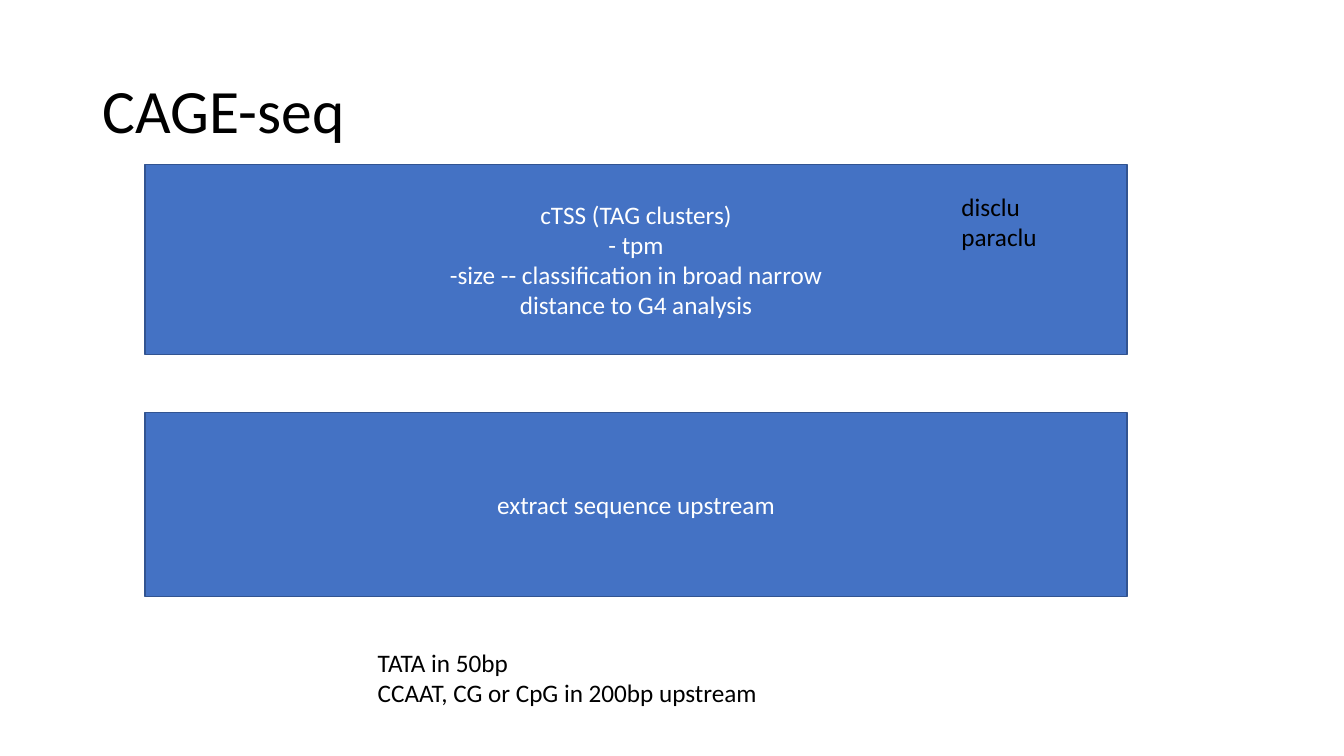
"""Build the CAGE-seq workflow slide."""
from dataclasses import dataclass

from pptx import Presentation
from pptx.dml.color import RGBColor
from pptx.enum.shapes import MSO_SHAPE
from pptx.enum.text import MSO_ANCHOR, MSO_AUTO_SIZE, PP_ALIGN
from pptx.util import Cm, Pt

RECTANGLE = MSO_SHAPE.RECTANGLE
MIDDLE = MSO_ANCHOR.MIDDLE
FIT_SHAPE = MSO_AUTO_SIZE.SHAPE_TO_FIT_TEXT
LEFT, CENTER = PP_ALIGN.LEFT, PP_ALIGN.CENTER


@dataclass(frozen=True)
class Theme:
    """Colours, font and sizes used on the slide."""

    font: str = "Calibri"
    title_size: Pt = Pt(44)
    body_size: Pt = Pt(18)
    line_width: Pt = Pt(1)
    dark: RGBColor = RGBColor(0x00, 0x00, 0x00)
    light: RGBColor = RGBColor(0xFF, 0xFF, 0xFF)
    fill: RGBColor = RGBColor(0x44, 0x72, 0xC4)
    outline: RGBColor = RGBColor(0x32, 0x54, 0x91)


THEME = Theme()
STEP_LEFT, STEP_WIDTH = Cm(3.66), Cm(24.74)


def write_lines(text_frame, lines, size, color, alignment=LEFT):
    """Write each line as a paragraph with one styled run."""
    for index, line in enumerate(lines):
        paragraph = text_frame.add_paragraph() if index else text_frame.paragraphs[0]
        paragraph.alignment = alignment
        run = paragraph.add_run()
        run.text = line
        run.font.name = THEME.font
        run.font.size = size
        run.font.color.rgb = color


def add_title(slide, text):
    """Add the slide title."""
    shape = slide.shapes.add_textbox(Cm(2.34), Cm(1.02), Cm(29.21), Cm(3.68))
    text_frame = shape.text_frame
    text_frame.word_wrap = True
    text_frame.vertical_anchor = MIDDLE
    write_lines(text_frame, [text], THEME.title_size, THEME.dark)
    text_frame.paragraphs[0].line_spacing = 0.9


def add_step(slide, top, height, lines):
    """Add a full-width workflow step with centred text."""
    shape = slide.shapes.add_shape(RECTANGLE, STEP_LEFT, top, STEP_WIDTH, height)
    shape.shadow.inherit = False
    shape.fill.solid()
    shape.fill.fore_color.rgb = THEME.fill
    shape.line.color.rgb = THEME.outline
    shape.line.width = THEME.line_width
    shape.text_frame.word_wrap = True
    shape.text_frame.vertical_anchor = MIDDLE
    write_lines(shape.text_frame, lines, THEME.body_size, THEME.light, CENTER)


def add_note(slide, left, top, width, lines):
    """Add an unwrapped two-line note."""
    shape = slide.shapes.add_textbox(left, top, width, Cm(1.8))
    shape.text_frame.word_wrap = False
    shape.text_frame.auto_size = FIT_SHAPE
    write_lines(shape.text_frame, lines, THEME.body_size, THEME.dark)


def main():
    """Assemble and save the presentation."""
    presentation = Presentation()
    presentation.slide_width = Cm(33.87)
    presentation.slide_height = Cm(19.05)
    slide = presentation.slides.add_slide(presentation.slide_layouts[6])
    add_title(slide, "CAGE-seq")
    add_step(slide, Cm(4.14), Cm(4.8), [
        "cTSS (TAG clusters)",
        "- tpm",
        "-size -- classification in broad narrow",
        "distance to G4 analysis",
    ])
    add_step(slide, Cm(10.39), Cm(4.65), ["extract sequence upstream"])
    add_note(slide, Cm(23.98), Cm(4.7), Cm(2.44), ["disclu", "paraclu"])
    add_note(slide, Cm(9.27), Cm(16.18), Cm(10.19), [
        "TATA in 50bp",
        "CCAAT, CG or CpG in 200bp upstream",
    ])
    presentation.save("out.pptx")


if __name__ == "__main__":
    main()
